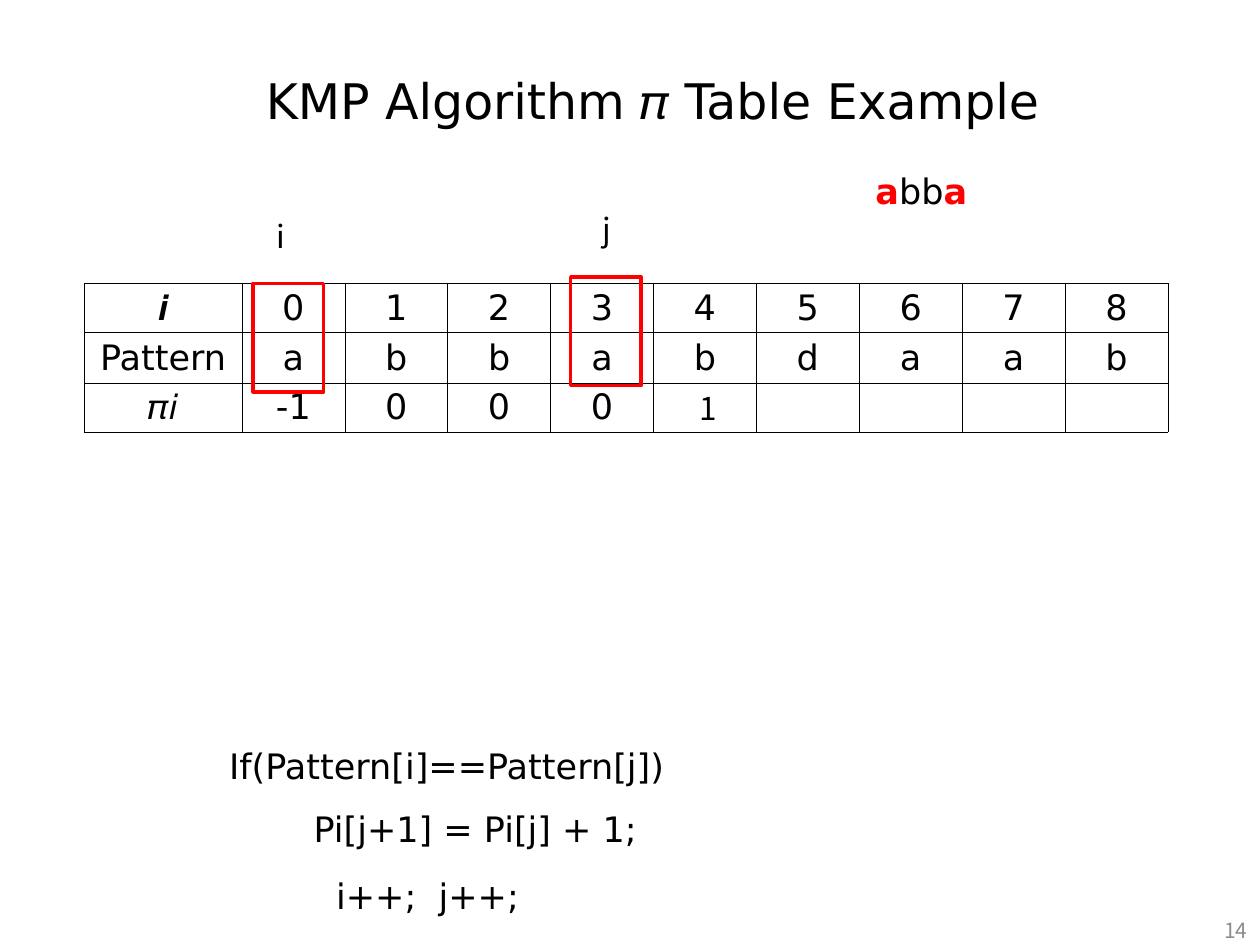
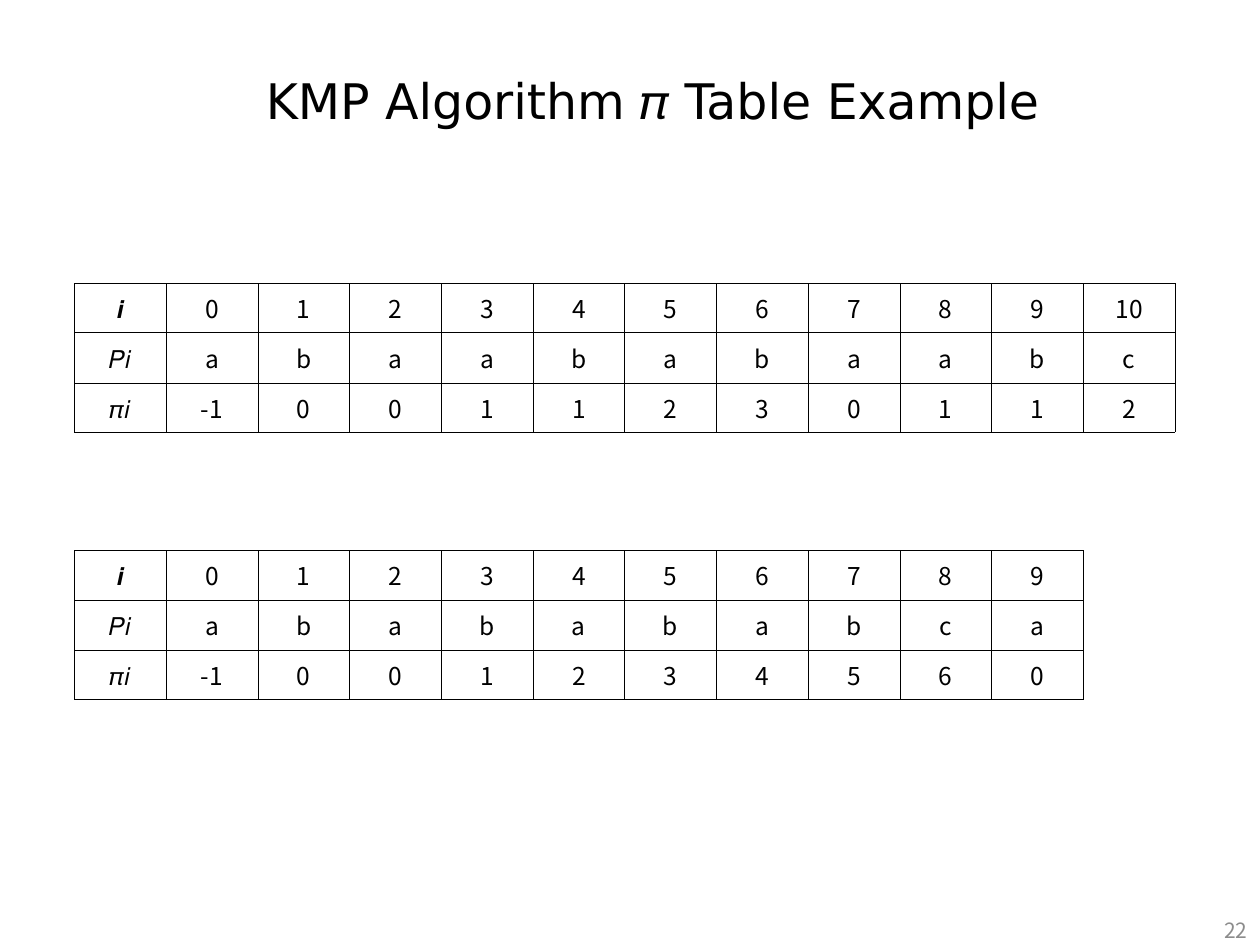
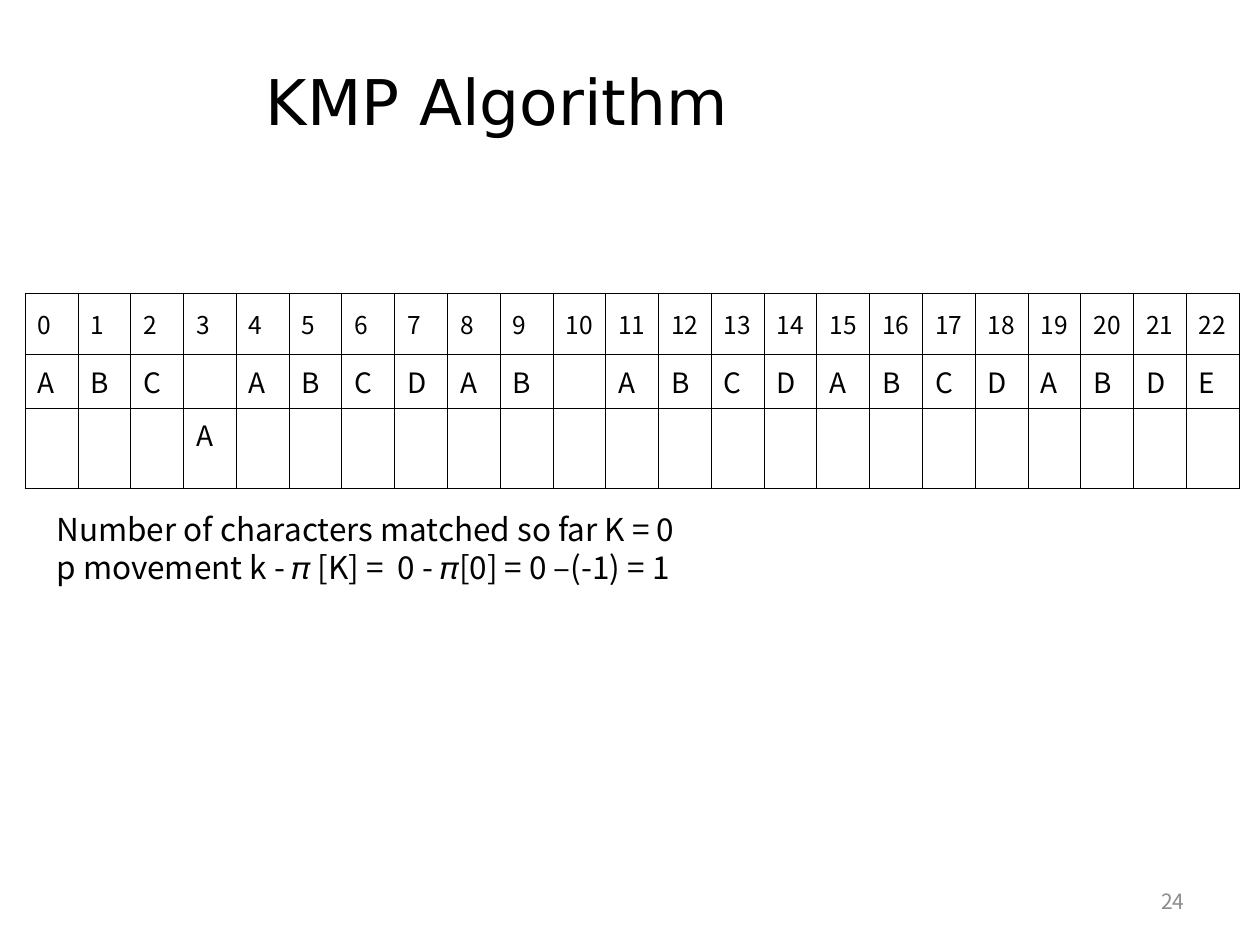
from dataclasses import dataclass

from lxml.etree import SubElement
from pptx import Presentation
from pptx.dml.color import RGBColor
from pptx.enum.shapes import MSO_SHAPE
from pptx.enum.text import MSO_ANCHOR, MSO_AUTO_SIZE, PP_ALIGN
from pptx.oxml.ns import qn
from pptx.util import Inches, Pt


@dataclass(frozen=True)
class Theme:
    """Colours, fonts and type sizes shared by the slides."""

    ink: RGBColor = RGBColor(0, 0, 0)
    accent: RGBColor = RGBColor(0xFF, 0, 0)
    muted: RGBColor = RGBColor(0x8C, 0x8C, 0x8C)
    display_font: str = "DejaVu Sans"
    text_font: str = "Noto Sans CJK KR"
    heading: int = 36
    title: int = 28
    code: int = 20
    body: int = 18
    letter: int = 16
    index: int = 14
    footer: int = 12


THEME = Theme()
TABLE_TITLE = "KMP Algorithm 𝜋 Table Example"
TIGHT_ROWS = (0.39, 0.4, 0.39)
TIGHT_MARGINS = (0.07, 0.02)
TEXT_MARGINS = (0.1, 0.05)


def style(paragraph, font, size, color=THEME.ink, align=PP_ALIGN.LEFT):
    """Format a whole paragraph."""
    paragraph.alignment = align
    paragraph.font.name = font
    paragraph.font.size = Pt(size)
    paragraph.font.color.rgb = color


def add_slide(presentation, title, number, title_size=THEME.title, number_at=(7.67, 7.18)):
    """Add a slide with its title and page number."""
    slide = presentation.slides.add_slide(presentation.slide_layouts[5])
    shape = slide.shapes.title
    shape.left, shape.top = Inches(2.01), Inches(0.29)
    shape.width, shape.height = Inches(7.06), Inches(1.01)
    frame = shape.text_frame
    frame.text = title
    frame.auto_size = MSO_AUTO_SIZE.NONE
    frame.vertical_anchor = MSO_ANCHOR.MIDDLE
    style(frame.paragraphs[0], THEME.display_font, title_size)
    footer = add_text(slide, str(number), (*number_at, 2.33, 0.4), THEME.text_font,
                      THEME.footer, THEME.muted, PP_ALIGN.RIGHT)
    footer.vertical_anchor = MSO_ANCHOR.MIDDLE
    return slide


def add_text(slide, text, box, font, size, color=THEME.ink, align=PP_ALIGN.LEFT, wrap=True):
    """Add a text box and return its text frame."""
    frame = slide.shapes.add_textbox(*map(Inches, box)).text_frame
    frame.word_wrap = wrap
    frame.text = text
    for paragraph in frame.paragraphs:
        style(paragraph, font, size, color, align)
    return frame


def add_label(slide, text, left, top, width):
    """Add a small centred label that does not wrap."""
    add_text(slide, text, (left, top, width, 0.4), THEME.text_font, THEME.body,
             align=PP_ALIGN.CENTER, wrap=False)


def add_marker(slide, left, top):
    """Outline the compared cells of one table column."""
    box = slide.shapes.add_shape(MSO_SHAPE.RECTANGLE, Inches(left), Inches(top),
                                 Inches(0.56), Inches(0.86))
    box.shadow.inherit = False
    box.fill.background()
    box.line.color.rgb = THEME.accent
    box.line.width = Pt(2)


def add_highlighted_match(slide):
    """Show the matched substring with its equal ends in the accent colour."""
    frame = add_text(slide, "", (6.85, 1.3, 2.2, 0.44), THEME.display_font, THEME.code)
    for text, matched in (("a", True), ("bb", False), ("a", True)):
        run = frame.paragraphs[0].add_run()
        run.text = text
        run.font.bold = matched
        run.font.color.rgb = THEME.accent if matched else THEME.ink


def border_cell(cell, width):
    """Draw a thin line on all four sides of a cell."""
    properties = cell._tc.get_or_add_tcPr()
    for side in ("lnL", "lnR", "lnT", "lnB"):
        line = SubElement(properties, qn(f"a:{side}"), w=str(Pt(width)))
        fill = SubElement(line, qn("a:solidFill"))
        SubElement(fill, qn("a:srgbClr"), val=str(THEME.ink))


def add_grid(slide, rows, left, top, column_widths, row_heights, font, sizes,
             align=PP_ALIGN.CENTER, margins=TIGHT_MARGINS, border=0.28):
    """Add a bordered, unfilled table with one type size per row."""
    frame = slide.shapes.add_table(len(rows), len(column_widths), Inches(left), Inches(top),
                                   Inches(sum(column_widths)), Inches(sum(row_heights)))
    table = frame.table
    table.first_row = table.horz_banding = False
    for column, width in zip(table.columns, column_widths):
        column.width = Inches(width)
    for row, height, texts, size in zip(table.rows, row_heights, rows, sizes):
        row.height = Inches(height)
        for cell, text in zip(row.cells, texts):
            cell.text = text
            cell.vertical_anchor = MSO_ANCHOR.MIDDLE
            cell.margin_left = cell.margin_right = Inches(margins[0])
            cell.margin_top = cell.margin_bottom = Inches(margins[1])
            style(cell.text_frame.paragraphs[0], font, size, align=align)
            border_cell(cell, border)
            cell.fill.background()


def indices(count):
    """List the character positions as text."""
    return [str(index) for index in range(count)]


def add_prefix_table(slide, top, pattern, values):
    """Add a table of a pattern and its prefix function."""
    rows = (["𝒊", *indices(len(pattern))], ["𝑃𝑖", *pattern], ["𝜋𝑖", *values.split()])
    widths = [8.74 / 12] * len(rows[0])
    add_grid(slide, rows, 0.59, top, widths, TIGHT_ROWS, THEME.text_font, [THEME.index] * 3)


def build_step_slide(presentation):
    """Build the slide that shows one step of filling the table."""
    slide = add_slide(presentation, TABLE_TITLE, 14)
    rows = (["𝒊", *indices(9)], ["Pattern", *"abbabdaab"],
            ["𝜋𝑖", "-1", *"000", *[""] * 5])
    widths = [1.25] + [7.35 / 9] * 9
    add_grid(slide, rows, 0.67, 2.25, widths, TIGHT_ROWS, THEME.display_font, [THEME.code] * 3)
    add_marker(slide, 2.01, 2.25)
    add_marker(slide, 4.53, 2.2)
    add_label(slide, "i", 2.1, 1.67, 0.26)
    add_label(slide, "j", 4.68, 1.62, 0.26)
    add_label(slide, "1", 5.45, 3.04, 0.34)
    for text, left, top, width in (
        ("If(Pattern[i]==Pattern[j])", 1.72, 5.86, 4.07),
        ("Pi[j+1] = Pi[j] + 1;", 2.39, 6.36, 5.71),
        ("i++;  j++; ", 2.57, 6.89, 2.2),
    ):
        add_text(slide, text, (left, top, width, 0.44), THEME.display_font, THEME.code)
    add_highlighted_match(slide)


def build_examples_slide(presentation):
    """Build the slide with two finished tables."""
    slide = add_slide(presentation, TABLE_TITLE, 22)
    add_prefix_table(slide, 2.25, "abaababaabc", "-1 0 0 1 1 2 3 0 1 1 2")
    add_prefix_table(slide, 4.37, "ababababca", "-1 0 0 1 2 3 4 5 6 0")


def build_search_slide(presentation):
    """Build the slide that shows the search in a text."""
    slide = add_slide(presentation, "KMP Algorithm", 24, THEME.heading, (7.17, 6.95))
    letters = [letter.strip() for letter in "ABC ABCDAB ABCDABCDABDE"]
    count = len(letters)
    pattern = [""] * count
    pattern[3] = "A\u3000"
    add_grid(slide, (indices(count), letters, pattern), 0.2, 2.33, [9.64 / count] * count,
             (0.48, 0.43, 0.43), THEME.text_font, (THEME.index, THEME.letter, THEME.letter),
             PP_ALIGN.JUSTIFY, TEXT_MARGINS, 0.56)
    notes = add_text(slide, "Number of characters matched so far K = 0 \n"
                     "p movement k - 𝜋 [K] =  0 - 𝜋[0] = 0 –(-1) = 1 ",
                     (0.35, 3.99, 5.59, 0.71), THEME.text_font, THEME.body,
                     align=PP_ALIGN.JUSTIFY)
    notes.vertical_anchor = MSO_ANCHOR.MIDDLE
    for paragraph in notes.paragraphs:
        paragraph.line_spacing = Pt(21.6)


def main():
    """Build and save the presentation."""
    presentation = Presentation()
    presentation.slide_width, presentation.slide_height = Inches(10), Inches(7.5)
    build_step_slide(presentation)
    build_examples_slide(presentation)
    build_search_slide(presentation)
    presentation.save("out.pptx")


main()
